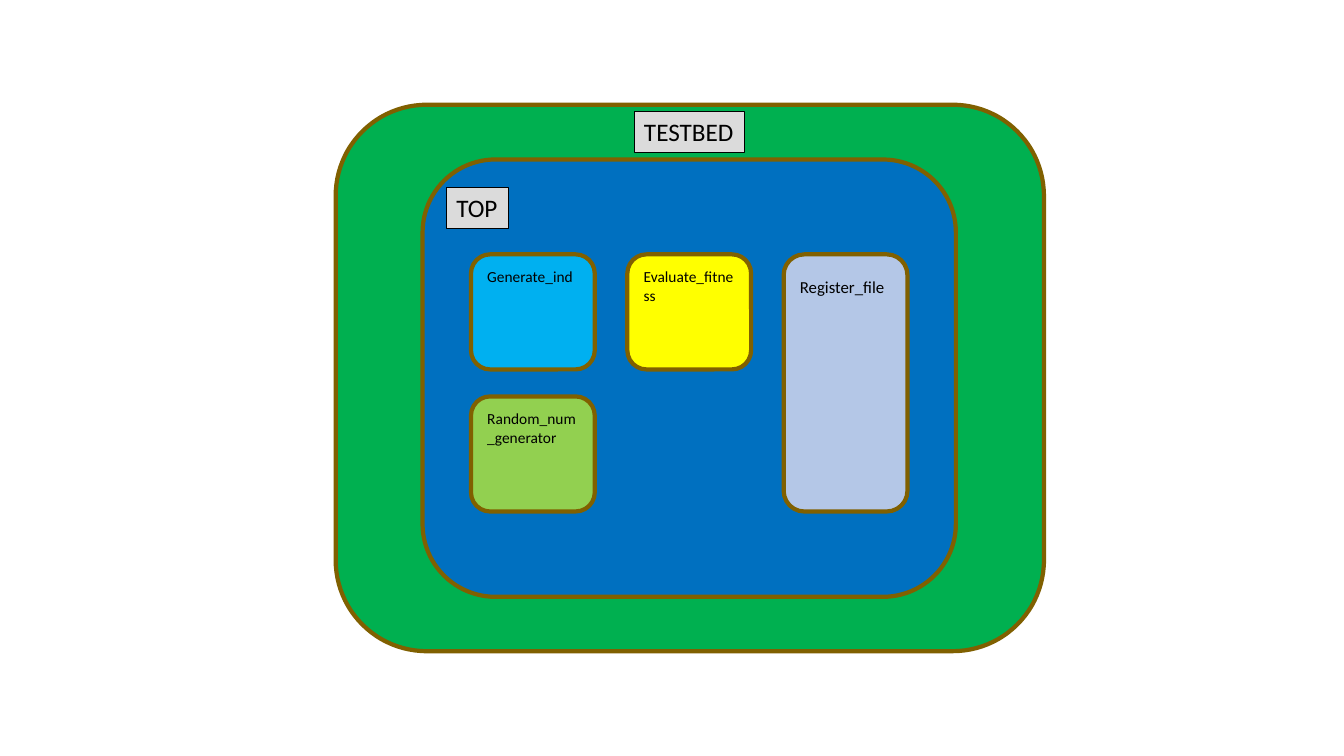
import dataclasses

import pptx
import pptx.dml.color
import pptx.enum.shapes
import pptx.enum.text
import pptx.util
from pptx.util import Cm

SHAPES = pptx.enum.shapes.MSO_SHAPE


@dataclasses.dataclass(frozen=True)
class Theme:
    font: str = "Calibri"
    text: str = "000000"
    border: str = "806000"
    border_width: float = 3
    tag_border_width: float = 0.75
    tag_fill: str = "DBDBDB"
    testbed: str = "00B050"
    top: str = "0070C0"
    generate: str = "00B0F0"
    random: str = "92D050"
    evaluate: str = "FFFF00"
    register: str = "B4C7E7"
    tag_size: int = 18
    module_size: int = 11
    register_size: int = 12


theme = Theme()


def style_box(shape, fill, line, width):
    shape.fill.solid()
    shape.fill.fore_color.rgb = pptx.dml.color.RGBColor.from_string(fill)
    shape.line.color.rgb = pptx.dml.color.RGBColor.from_string(line)
    shape.line.width = pptx.util.Pt(width)


def write_text(shape, text, size, wrap):
    frame = shape.text_frame
    frame.text = text
    frame.word_wrap = wrap
    frame.auto_size = pptx.enum.text.MSO_AUTO_SIZE.SHAPE_TO_FIT_TEXT
    font = frame.paragraphs[0].runs[0].font
    font.name = theme.font
    font.size = pptx.util.Pt(size)
    font.color.rgb = pptx.dml.color.RGBColor.from_string(theme.text)


presentation = pptx.Presentation()
presentation.slide_width = Cm(33.87)
presentation.slide_height = Cm(19.05)
slide = presentation.slides.add_slide(presentation.slide_layouts[6])

# Nested containers
for box, fill in (
    ((8.46, 2.64, 17.85, 13.77), theme.testbed),
    ((10.65, 4.02, 13.44, 11.02), theme.top),
):
    container = slide.shapes.add_shape(
        SHAPES.ROUNDED_RECTANGLE, *(Cm(length) for length in box))
    container.shadow.inherit = False
    style_box(container, fill, theme.border, theme.border_width)

# Container name tags
for name, box in (
    ("TESTBED", (15.98, 2.81, 2.79, 1.03)),
    ("TOP", (11.25, 4.72, 1.56, 1.03)),
):
    tag = slide.shapes.add_textbox(*(Cm(length) for length in box))
    style_box(tag, theme.tag_fill, theme.text, theme.tag_border_width)
    write_text(tag, name, theme.tag_size, wrap=False)

# Modules on a grid of three columns and two rows
grid_left, grid_top = 11.87, 6.41
column_step, row_step = 3.94, 3.58
module_width, module_height = 3.12, 2.9
label_inset = 0.16

# name, column, row, rows spanned, fill, size, label drop, label height
modules = (
    ("Generate_ind", 0, 0, 1, theme.generate, theme.module_size, 0.2, 0.56),
    ("Random_num_generator", 0, 1, 1, theme.random, theme.module_size, 0.2, 1.19),
    ("Evaluate_fitness", 1, 0, 1, theme.evaluate, theme.module_size, 0.2, 1.19),
    ("Register_file", 2, 0, 2, theme.register, theme.register_size, 0.45, 0.76),
)
for name, column, row, span, fill, size, drop, label_height in modules:
    left = grid_left + column * column_step
    top = grid_top + row * row_step
    height = module_height + (span - 1) * row_step
    group = slide.shapes.add_group_shape()
    module = group.shapes.add_shape(
        SHAPES.ROUNDED_RECTANGLE,
        Cm(left), Cm(top), Cm(module_width), Cm(height))
    module.shadow.inherit = False
    style_box(module, fill, theme.border, theme.border_width)
    label = group.shapes.add_textbox(
        Cm(left + label_inset), Cm(top + drop),
        Cm(module_width - 2 * label_inset), Cm(label_height))
    write_text(label, name, size, wrap=True)

presentation.save("out.pptx")
